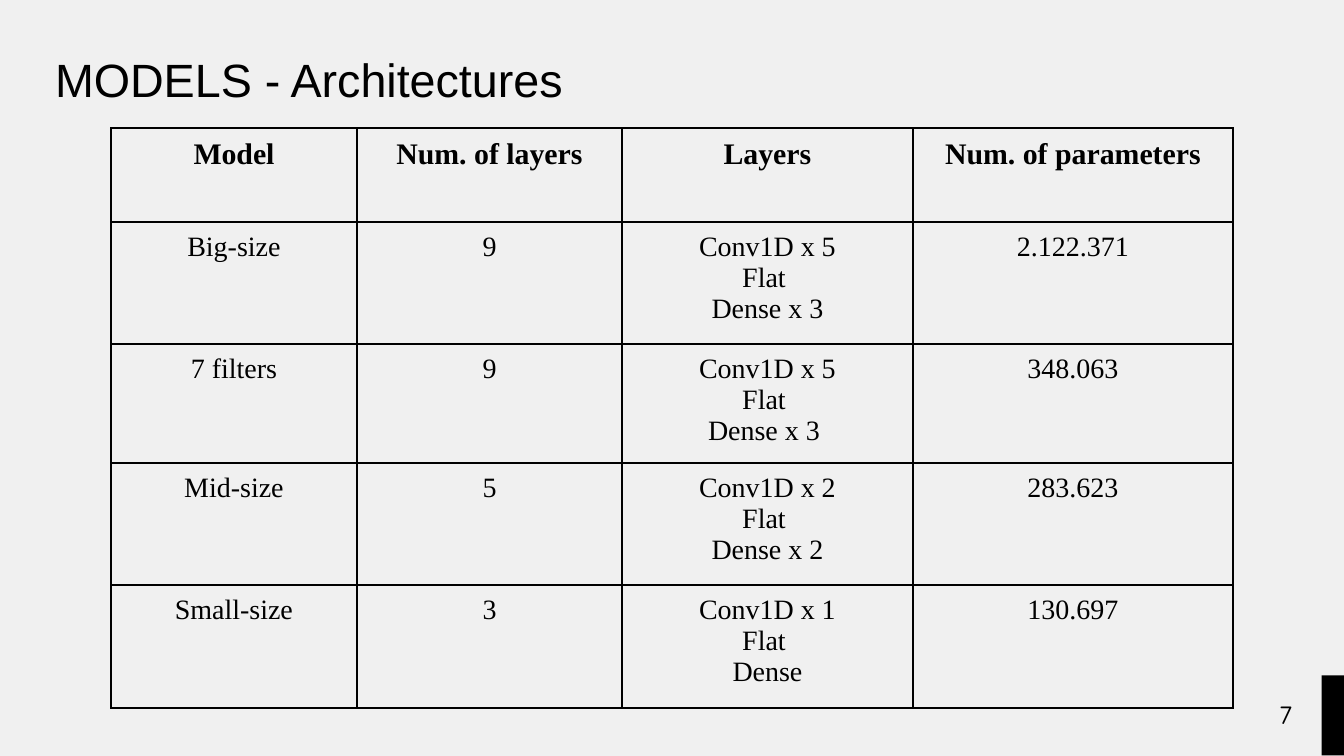
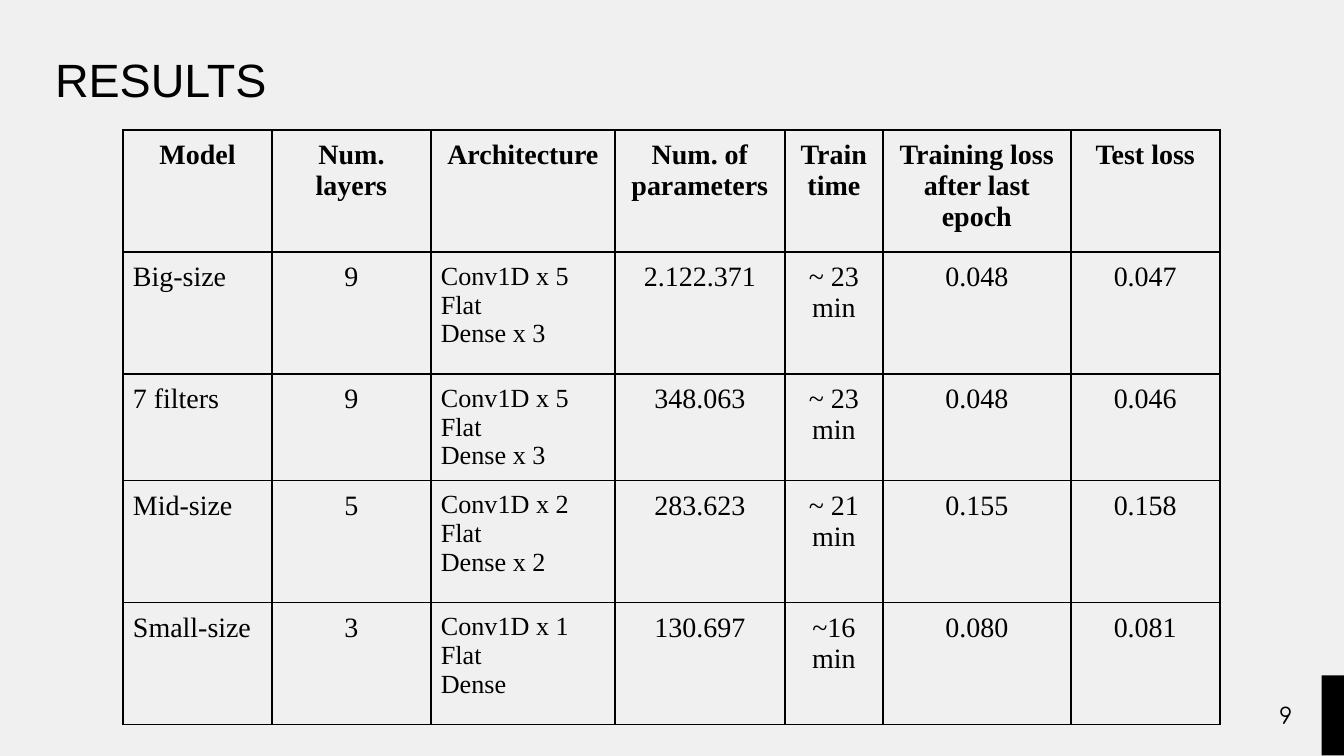
"""Build two slides that tabulate model architectures and results."""
from lxml.etree import SubElement
from pptx import Presentation
from pptx.dml.color import RGBColor
from pptx.enum.shapes import MSO_SHAPE
from pptx.enum.text import MSO_ANCHOR, MSO_AUTO_SIZE, PP_ALIGN
from pptx.oxml.ns import qn
from pptx.util import Emu, Pt

EMU_PER_PX = 9144000 / 1344
COLORS = {"background": "F0F0F0", "ink": "000000"}
INK = RGBColor.from_string(COLORS["ink"])
TABLE_FONT = "Times New Roman"
CELL_INSET = 10

SLIDES = [
    {
        "title": "MODELS - Architectures",
        "number": "7",
        "origin": (111, 128),
        "columns": [246, 265, 291, 320],
        "rows": [94, 122, 119, 122, 123],
        "header_size": 16,
        "left_columns": [],
        "small_columns": [],
        "cells": [
            ["Model", "Num. of layers", "Layers", "Num. of parameters"],
            ["Big-size", "9", "Conv1D x 5\nFlat \nDense x 3", "2.122.371"],
            ["7 filters", "9", "Conv1D x 5\nFlat \nDense x 3 ", "348.063"],
            ["Mid-size", "5", "Conv1D x 2\nFlat \nDense x 2", "283.623"],
            ["Small-size", "3", "Conv1D x 1\nFlat \nDense", "130.697"],
        ],
    },
    {
        "title": "RESULTS",
        "number": "9",
        "origin": (123, 130),
        "columns": [149, 159, 184, 170, 98, 188, 149],
        "rows": [122, 122, 105, 122, 122],
        "header_size": 15,
        "left_columns": [0, 2],
        "small_columns": [2],
        "cells": [
            ["Model", "Num. layers", "Architecture", "Num. of parameters",
             "Train time", "Training loss after last epoch", "Test loss"],
            ["Big-size", "9", "Conv1D x 5\nFlat\nDense x 3", "2.122.371",
             "~ 23 min", "0.048", "0.047"],
            ["7 filters", "9", "Conv1D x 5\nFlat\nDense x 3", "348.063",
             "~ 23 min", "0.048", "0.046"],
            ["Mid-size", "5", "Conv1D x 2\nFlat\nDense x 2", "283.623",
             "~ 21 min", "0.155", "0.158"],
            ["Small-size", "3", "Conv1D x 1\nFlat\nDense", "130.697",
             "~16 min", "0.080", "0.081"],
        ],
    },
]


def px(length):
    return Emu(round(length * EMU_PER_PX))


def format_text(text_frame, font_name, size, alignment, bold=False):
    for paragraph in text_frame.paragraphs:
        paragraph.alignment = alignment
        for run in paragraph.runs:
            run.font.name = font_name
            run.font.size = Pt(size)
            run.font.bold = bold
            run.font.color.rgb = INK


presentation = Presentation()
presentation.slide_width, presentation.slide_height = px(1344), px(756)
master_fill = presentation.slide_master.background.fill
master_fill.solid()
master_fill.fore_color.rgb = RGBColor.from_string(COLORS["background"])
title_only = presentation.slide_layouts.get_by_name("Title Only")

for content in SLIDES:
    slide = presentation.slides.add_slide(title_only)

    band = slide.shapes.add_shape(MSO_SHAPE.RECTANGLE, px(1293), px(704), px(80), px(23))
    band.rotation = 90
    band.shadow.inherit = False
    band.fill.solid()
    band.fill.fore_color.rgb = INK
    band.line.fill.background()

    title = slide.shapes.title
    title.left, title.top, title.width, title.height = px(42), px(38), px(681), px(105)
    number = slide.shapes.add_textbox(px(1246), px(687), px(80), px(58))
    for shape, text, anchor, font_name, size, alignment in (
        (title, content["title"], MSO_ANCHOR.TOP, "Arial", 25, PP_ALIGN.LEFT),
        (number, content["number"], MSO_ANCHOR.MIDDLE, "Comfortaa", 12, PP_ALIGN.CENTER),
    ):
        frame = shape.text_frame
        frame.text = text
        frame.word_wrap = True
        frame.auto_size = MSO_AUTO_SIZE.NONE
        frame.vertical_anchor = anchor
        frame.margin_left = frame.margin_right = px(13)
        frame.margin_top = frame.margin_bottom = px(13)
        format_text(frame, font_name, size, alignment)

    columns, rows = content["columns"], content["rows"]
    left, top = content["origin"]
    table = slide.shapes.add_table(len(rows), len(columns), px(left), px(top),
                                   px(sum(columns)), px(sum(rows))).table
    table.first_row = table.horz_banding = False
    for column, width in zip(table.columns, columns):
        column.width = px(width)
    for row, height in zip(table.rows, rows):
        row.height = px(height)

    for row_index, texts in enumerate(content["cells"]):
        for column_index, text in enumerate(texts):
            cell = table.cell(row_index, column_index)
            cell.text = text
            cell.margin_left = cell.margin_right = px(CELL_INSET)
            cell.margin_top = cell.margin_bottom = px(CELL_INSET)
            properties = cell._tc.get_or_add_tcPr()
            for side in ("a:lnL", "a:lnR", "a:lnT", "a:lnB"):
                border = SubElement(properties, qn(side), w=str(Pt(1)))
                border_fill = SubElement(border, qn("a:solidFill"))
                SubElement(border_fill, qn("a:srgbClr"), val=COLORS["ink"])
            cell.fill.background()

            header = row_index == 0
            size = 14 if column_index in content["small_columns"] else 15
            left_aligned = column_index in content["left_columns"] and not header
            format_text(cell.text_frame, TABLE_FONT,
                        content["header_size"] if header else size,
                        PP_ALIGN.LEFT if left_aligned else PP_ALIGN.CENTER, header)

presentation.save("out.pptx")
